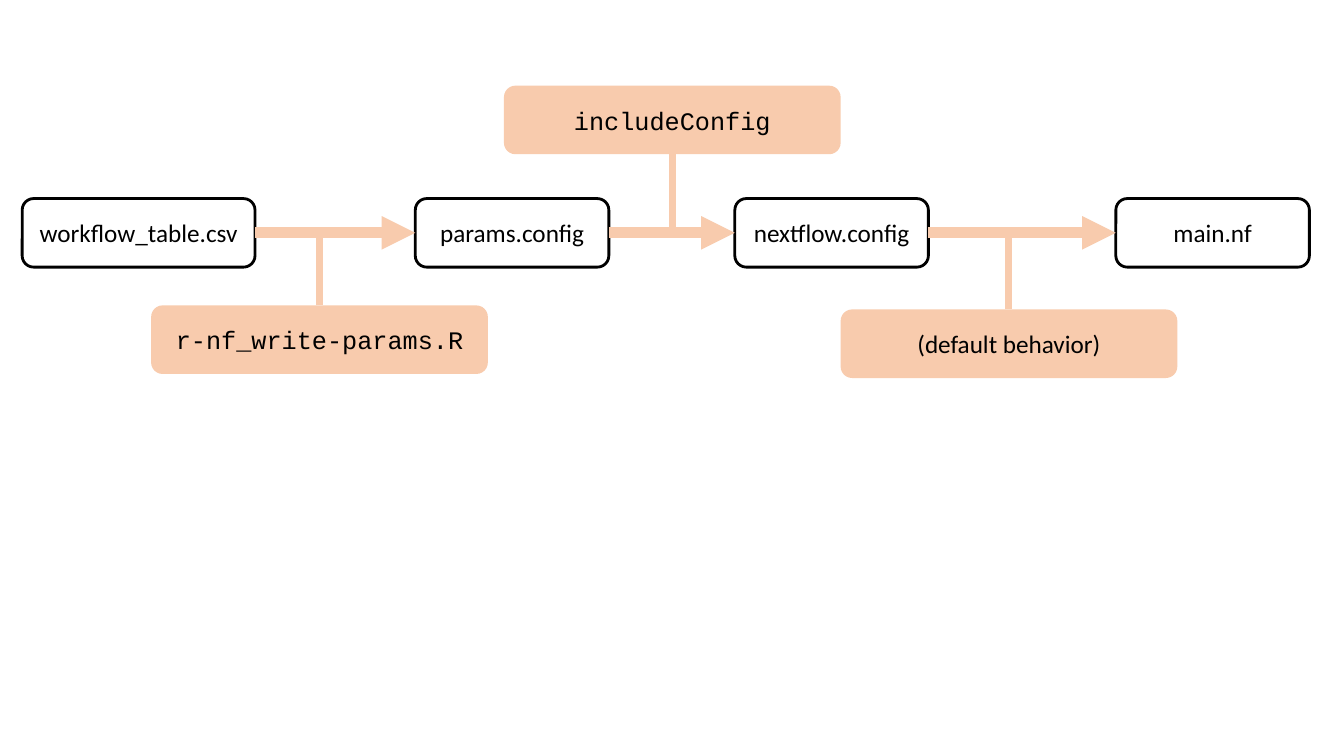
from dataclasses import dataclass
from itertools import pairwise

from lxml import etree
from pptx import Presentation
from pptx.dml.color import RGBColor
from pptx.enum import shapes, text
from pptx.oxml import ns
from pptx.util import Pt

BLACK, WHITE, PEACH = "000000", "FFFFFF", "F8CBAD"
BOX_HEIGHT = 48.96
FILE_TOP = 141.84
ARROW_Y = FILE_TOP + BOX_HEIGHT / 2
NOTE_WIDTH = 240.48
TOP, LEFT, BOTTOM, RIGHT = range(4)  # connection sites of a rectangle


@dataclass
class FileBox:
    name: str
    left: float
    width: float = 138.24


@dataclass
class Note:
    label: str
    left: float
    top: float
    font: str = "Courier New"


FILES = [
    FileBox("workflow_table.csv", 15.84, 166.32),
    FileBox("params.config", 296.64),
    FileBox("nextflow.config", 524.88),
    FileBox("main.nf", 797.04),
]
NOTES = [
    Note("r-nf_write-params.R", 108, 218.16),
    Note("includeConfig", 360, 61.2),
    Note("(default behavior)", 600.48, 221.04, "Calibri"),
]


def rgb(color: str) -> RGBColor:
    return RGBColor.from_string(color)


def write(tf, content: str, *, font: str = "Calibri", size: float = 18, color: str = BLACK) -> None:
    tf.word_wrap = True
    tf.vertical_anchor = text.MSO_ANCHOR.MIDDLE
    p = tf.paragraphs[0]
    p.alignment = text.PP_ALIGN.CENTER
    r = p.add_run()
    r.text = content
    r.font.name, r.font.size = font, Pt(size)
    r.font.color.rgb = rgb(color)


def add_box(s, left: float, top: float, width: float, *, fill: str, outline: str | None = None):
    sp = s.shapes.add_shape(shapes.MSO_SHAPE.ROUNDED_RECTANGLE,
                            Pt(left), Pt(top), Pt(width), Pt(BOX_HEIGHT))
    sp.shadow.inherit = False
    sp.fill.solid()
    sp.fill.fore_color.rgb = rgb(fill)
    if outline:
        sp.line.color.rgb = rgb(outline)
        sp.line.width = Pt(2)
    else:
        sp.line.fill.background()
    return sp


def add_line(s, x1: float, y1: float, x2: float, y2: float, *, width: float, arrow: bool = False):
    line = s.shapes.add_connector(shapes.MSO_CONNECTOR.STRAIGHT, Pt(x1), Pt(y1), Pt(x2), Pt(y2))
    line.line.color.rgb = rgb(PEACH)
    line.line.width = Pt(width)
    if arrow:
        etree.SubElement(line.line._get_or_add_ln(), ns.qn("a:tailEnd"), type="triangle")
    etree.SubElement(line._element.spPr, ns.qn("a:effectLst"))
    return line


def main() -> None:
    prs = Presentation()
    prs.slide_width, prs.slide_height = Pt(960), Pt(540)
    s = prs.slides.add_slide(prs.slide_layouts[6])

    # Files in the order they are processed
    file_shapes = []
    for f in FILES:
        sp = add_box(s, f.left, FILE_TOP, f.width, fill=WHITE, outline=BLACK)
        write(sp.text_frame, f.name)
        file_shapes.append(sp)

    # Arrows from each file to the next
    for (a, b), (start, end) in zip(pairwise(FILES), pairwise(file_shapes)):
        arrow = add_line(s, a.left + a.width, ARROW_Y, b.left, ARROW_Y, width=8, arrow=True)
        arrow.begin_connect(start, RIGHT)
        arrow.end_connect(end, LEFT)

    # Notes on how each step happens, with stems to the arrows
    for n in NOTES:
        sp = add_box(s, n.left, n.top, NOTE_WIDTH, fill=PEACH)
        write(sp.text_frame, n.label, font=n.font)
        above = n.top < ARROW_Y
        x = n.left + NOTE_WIDTH / 2
        stem = add_line(s, x, n.top + BOX_HEIGHT if above else n.top, x, ARROW_Y, width=5)
        stem.begin_connect(sp, BOTTOM if above else TOP)

    prs.save("out.pptx")


if __name__ == "__main__":
    main()
